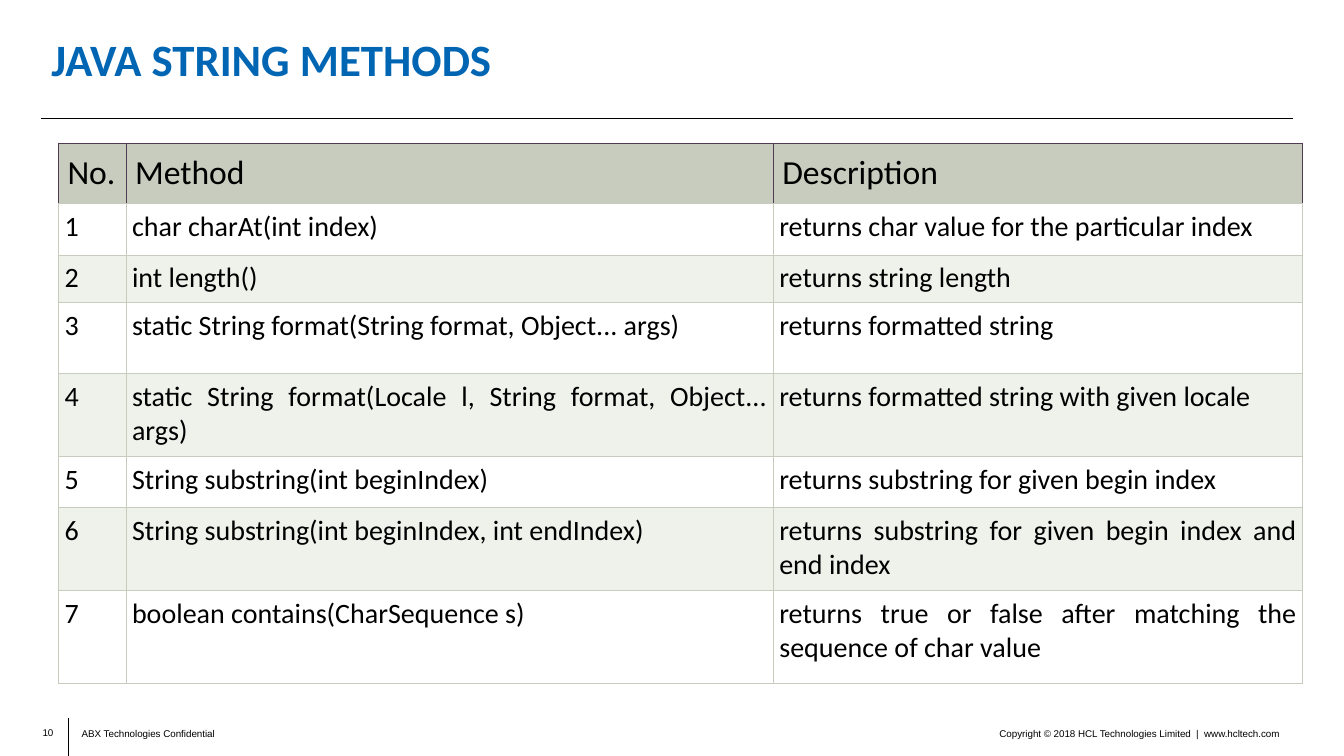
from lxml import etree
from pptx import Presentation
from pptx.dml.color import RGBColor
from pptx.enum.shapes import MSO_CONNECTOR
from pptx.enum.text import MSO_ANCHOR, PP_ALIGN
from pptx.oxml.ns import qn
from pptx.util import Inches, Pt

TITLE = "JAVA STRING METHODS"
HEADER = ("No.", "Method", "Description")
METHODS = [
    ("char charAt(int index)", "returns char value for the particular index"),
    ("int length()", "returns string length"),
    ("static String format(String format, Object... args)", "returns formatted string"),
    ("static String format(Locale l, String format, Object... args)",
     "returns formatted string with given locale"),
    ("String substring(int beginIndex)", "returns substring for given begin index"),
    ("String substring(int beginIndex, int endIndex)",
     "returns substring for given begin index and end index"),
    ("boolean contains(CharSequence s)",
     "returns true or false after matching the sequence of char value"),
]
COL_WIDTHS = (0.67, 6.42, 5.25)
ROW_HEIGHTS = (0.6, 0.51, 0.47, 0.71, 0.82, 0.51, 0.82, 0.92)

# text, box, horizontal inset, vertical inset, alignment, anchor, wrap
FOOTERS = [
    ("10", (0.41, 7.21, 0.12, 0.11), 0, 0, PP_ALIGN.RIGHT, MSO_ANCHOR.MIDDLE, False),
    ("Copyright © 2018 HCL Technologies Limited  |  www.hcltech.com",
     (7.77, 7.17, 5.01, 0.21), 0.09, 0.05, PP_ALIGN.RIGHT, MSO_ANCHOR.TOP, True),
    ("ABX Technologies Confidential",
     (0.72, 7.17, 3.18, 0.19), 0.09, 0.05, PP_ALIGN.LEFT, MSO_ANCHOR.TOP, True),
]
RULES = [(0.68, 7.12, 0.68, 7.5), (0.41, 1.17, 12.82, 1.17)]

BLACK = RGBColor(0, 0, 0)
WHITE = RGBColor(0xFF, 0xFF, 0xFF)
BLUE = RGBColor(0x00, 0x66, 0xB3)
SAGE = RGBColor(0xC7, 0xCC, 0xBE)
PALE = RGBColor(0xEF, 0xF1, 0xEB)
PLUM = RGBColor(0x50, 0x3B, 0x53)


def add_run(p, text, size, font, color=BLACK, bold=False):
    r = p.add_run()
    r.text = text
    r.font.size = Pt(size)
    r.font.name = font
    r.font.bold = bold
    r.font.color.rgb = color


def set_margins(box, x, y):
    box.margin_left = box.margin_right = Inches(x)
    box.margin_top = box.margin_bottom = Inches(y)


def set_borders(cell, side_color, bottom_color):
    tc_pr = cell._tc.get_or_add_tcPr()
    for side in "LRTB":
        ln = etree.SubElement(tc_pr, qn(f"a:ln{side}"), w=str(Pt(0.75)))
        fill = etree.SubElement(ln, qn("a:solidFill"))
        color = bottom_color if side == "B" else side_color
        etree.SubElement(fill, qn("a:srgbClr"), val=str(color))


def add_rule(s, x1, y1, x2, y2):
    line = s.shapes.add_connector(MSO_CONNECTOR.STRAIGHT, Inches(x1), Inches(y1),
                                  Inches(x2), Inches(y2))
    line.line.color.rgb = BLACK
    line.line.width = Pt(0.5)
    etree.SubElement(line._element.spPr, qn("a:effectLst"))


def add_footer(s, text, box, inset_x, inset_y, align, anchor, wrap):
    tf = s.shapes.add_textbox(*map(Inches, box)).text_frame
    tf.word_wrap = wrap
    tf.vertical_anchor = anchor
    set_margins(tf, inset_x, inset_y)
    p = tf.paragraphs[0]
    p.alignment = align
    add_run(p, text, 7, "Arial")


def add_title(s):
    title = s.shapes.title
    title.left, title.top, title.width, title.height = map(Inches, (0.41, 0.28, 11.46, 0.67))
    tf = title.text_frame
    tf.vertical_anchor = MSO_ANCHOR.MIDDLE
    p = tf.paragraphs[0]
    p.alignment = PP_ALIGN.LEFT
    p.line_spacing = 0.9
    add_run(p, TITLE, 32, "Calibri", BLUE, True)


def add_method_table(s):
    rows = [HEADER] + [(str(n), *method) for n, method in enumerate(METHODS, 1)]
    table = s.shapes.add_table(len(rows), len(HEADER), Inches(0.58), Inches(1.42),
                               Inches(sum(COL_WIDTHS)), Inches(sum(ROW_HEIGHTS))).table
    for col, width in zip(table.columns, COL_WIDTHS):
        col.width = Inches(width)
    for i, (row, height) in enumerate(zip(rows, ROW_HEIGHTS)):
        table.rows[i].height = Inches(height)
        is_header = i == 0
        inset = 0.09 if is_header else 0.06
        for j, text in enumerate(row):
            cell = table.cell(i, j)
            set_margins(cell, inset, inset)
            set_borders(cell, PLUM if is_header else SAGE, SAGE)
            cell.fill.solid()
            cell.fill.fore_color.rgb = SAGE if is_header else WHITE if i % 2 else PALE
            p = cell.text_frame.paragraphs[0]
            p.alignment = PP_ALIGN.LEFT if is_header else PP_ALIGN.JUSTIFY
            add_run(p, text, 24 if is_header else 20, "Calibri")


def main():
    prs = Presentation()
    prs.slide_width, prs.slide_height = Inches(13.33), Inches(7.5)
    s = prs.slides.add_slide(prs.slide_layouts[5])
    for rule in RULES:
        add_rule(s, *rule)
    for footer in FOOTERS:
        add_footer(s, *footer)
    add_title(s)
    add_method_table(s)
    prs.save("out.pptx")


if __name__ == "__main__":
    main()
